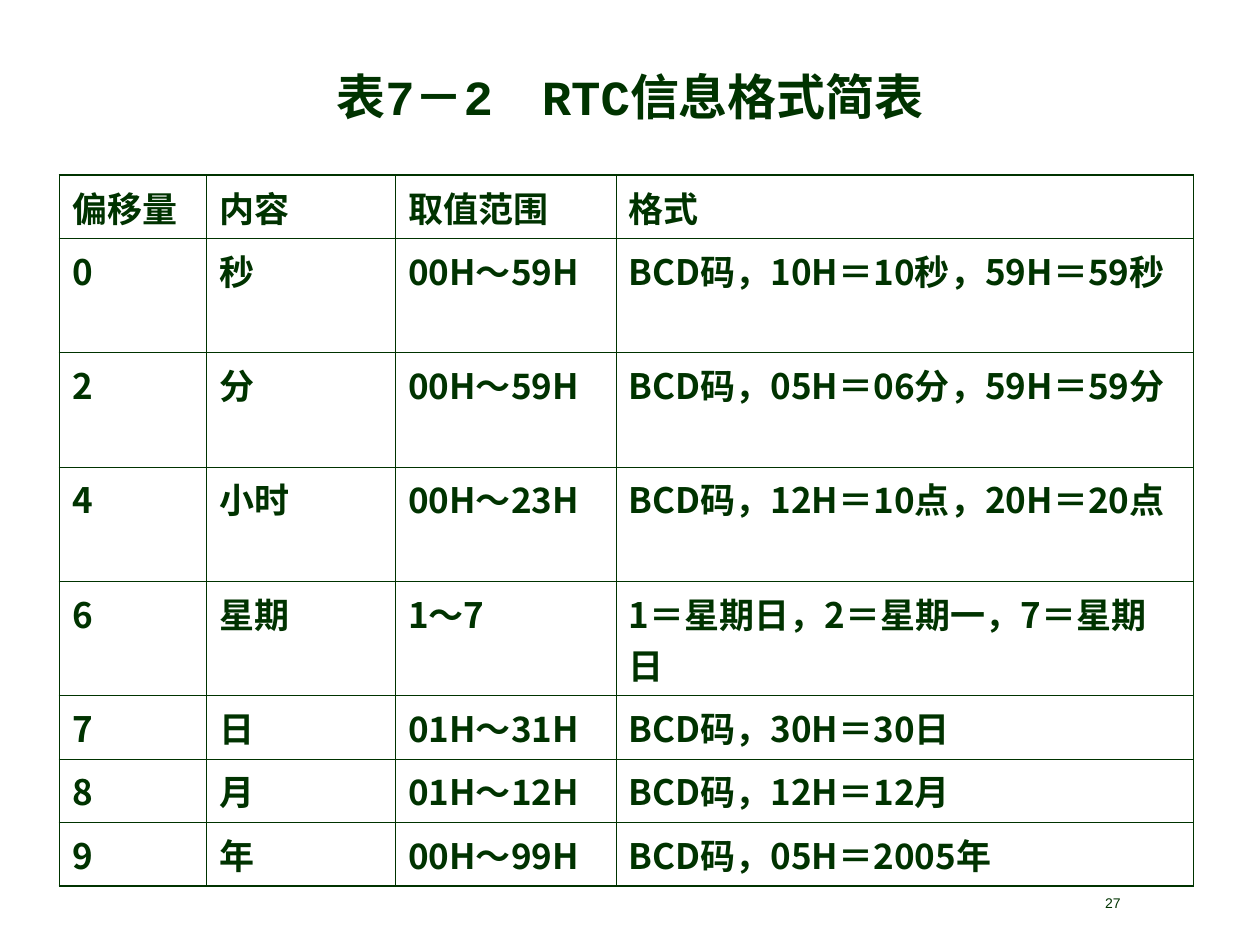
from lxml import etree
from pptx import Presentation
from pptx.dml.color import RGBColor
from pptx.enum.text import MSO_ANCHOR, PP_ALIGN
from pptx.oxml.ns import qn
from pptx.util import Pt

GREEN = "003300"
CJK = "Noto Sans CJK SC"


def style(p, size, font, bold=False):
    """Format every run of a paragraph, with the CJK font for Chinese text."""
    for r in p.runs:
        r.font.size, r.font.name, r.font.bold = Pt(size), font, bold
        r.font.color.rgb = RGBColor.from_string(GREEN)
        etree.SubElement(r._r.rPr, qn("a:ea"), typeface=CJK)


def border(cell, side, width):
    ln = etree.SubElement(cell._tc.get_or_add_tcPr(), qn(f"a:ln{side}"), w=str(Pt(width)))
    fill = etree.SubElement(ln, qn("a:solidFill"))
    etree.SubElement(fill, qn("a:srgbClr"), val=GREEN)


prs = Presentation()
prs.slide_width, prs.slide_height = Pt(720), Pt(540)
s = prs.slides.add_slide(prs.slide_layouts[5])

# Title
title = s.shapes.title
title.left, title.top, title.width, title.height = Pt(36), Pt(31.7), Pt(648), Pt(46.8)
tf = title.text_frame
tf.text = "表7－2　RTC信息格式简表"
tf.vertical_anchor = MSO_ANCHOR.MIDDLE
tf.paragraphs[0].alignment = PP_ALIGN.CENTER
style(tf.paragraphs[0], 28, "Courier New", True)

# RTC format table
rows = [
    ("偏移量", "内容", "取值范围", "格式"),
    ("0", "秒", "00H～59H", "BCD码，10H＝10秒，59H＝59秒"),
    ("2", "分", "00H～59H", "BCD码，05H＝06分，59H＝59分"),
    ("4", "小时", "00H～23H", "BCD码，12H＝10点，20H＝20点"),
    ("6", "星期", "1～7", "1＝星期日，2＝星期一，7＝星期日"),
    ("7", "日", "01H～31H", "BCD码，30H＝30日"),
    ("8", "月", "01H～12H", "BCD码，12H＝12月"),
    ("9", "年", "00H～99H", "BCD码，05H＝2005年"),
]
col_widths = [84, 108, 126, 330]
row_heights = [34] + [55] * 4 + [34] * 3
last_row, last_col = len(rows) - 1, len(col_widths) - 1

table = s.shapes.add_table(len(rows), len(col_widths), Pt(34), Pt(100),
                           Pt(sum(col_widths)), Pt(sum(row_heights))).table
table.first_row = table.horz_banding = False
for col, width in zip(table.columns, col_widths):
    col.width = Pt(width)
for row, height in zip(table.rows, row_heights):
    row.height = Pt(height)

for i, texts in enumerate(rows):
    for j, text in enumerate(texts):
        cell = table.cell(i, j)
        cell.text = text
        style(cell.text_frame.paragraphs[0], 20, CJK, True)
        # Heavier lines around the outside
        outer = {"L": j == 0, "R": j == last_col, "T": i == 0, "B": i == last_row}
        for side, is_outer in outer.items():
            border(cell, side, 1.08 if is_outer else 0.45)
        cell.fill.background()

# Page number
number = s.shapes.add_textbox(Pt(552), Pt(511), Pt(168), Pt(10))
tf = number.text_frame
tf.word_wrap = True
tf.text = "27"
tf.vertical_anchor = MSO_ANCHOR.MIDDLE
tf.paragraphs[0].alignment = PP_ALIGN.CENTER
style(tf.paragraphs[0], 8, "Arial")

prs.save("out.pptx")
